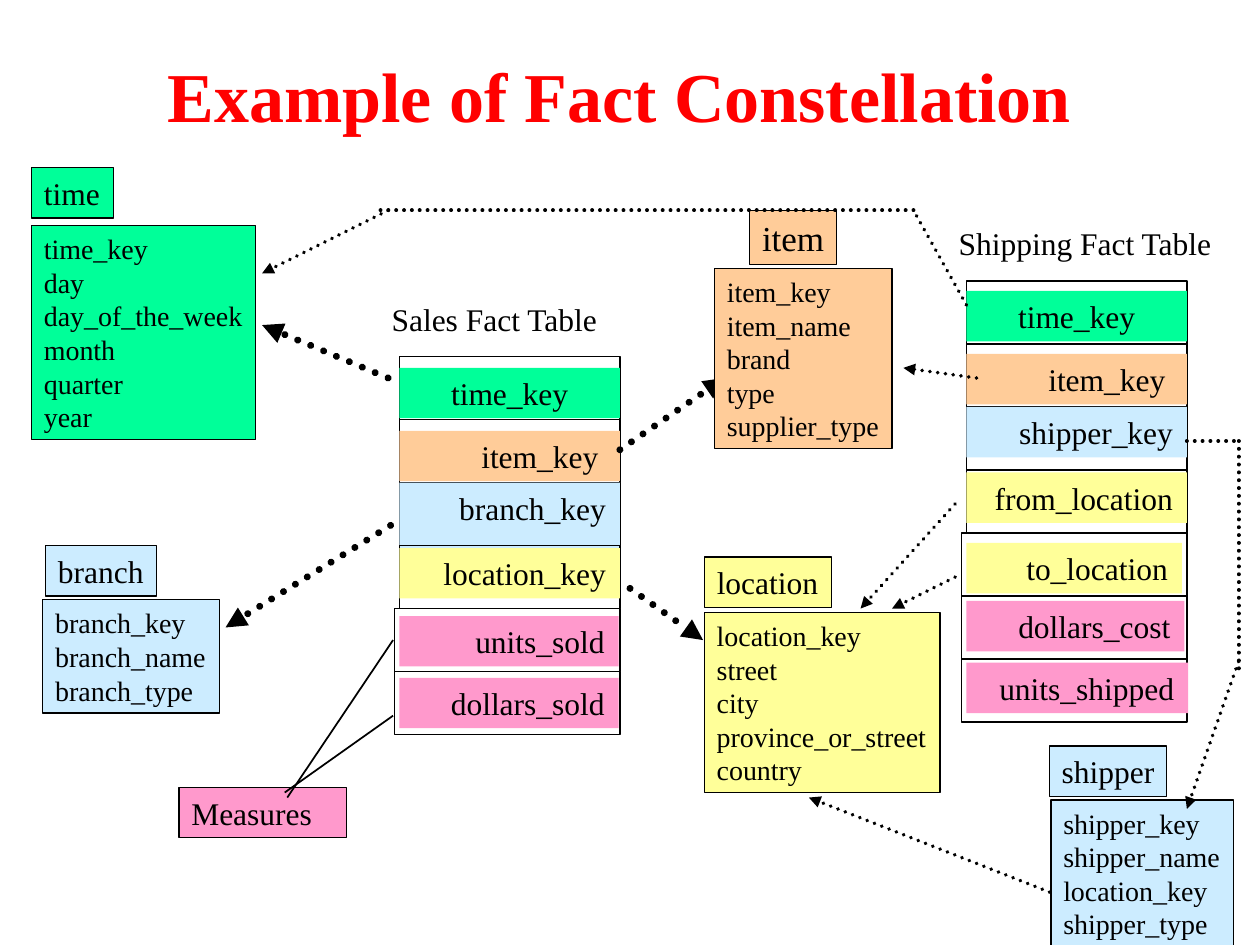
from dataclasses import dataclass

from lxml import etree
from pptx import Presentation
from pptx import util as u
from pptx.dml.color import RGBColor
from pptx.enum import dml, shapes, text
from pptx.oxml.ns import qn


@dataclass(frozen=True)
class Theme:
    font: str = "Times New Roman"
    ink: str = "000000"
    title: str = "FF0000"
    time: str = "00FF99"
    item: str = "FFCC99"
    place: str = "FFFF99"
    party: str = "CCECFF"
    measure: str = "FF99CC"
    title_size: int = 40
    item_size: int = 20
    label_size: int = 18
    column_size: int = 16
    border: float = 0.75
    thin: float = 1
    dotted: float = 2.25
    heavy: float = 4


THEME = Theme()
LEFT, CENTER, RIGHT = text.PP_ALIGN.LEFT, text.PP_ALIGN.CENTER, text.PP_ALIGN.RIGHT


class Diagram:
    def __init__(self, page, theme):
        self.page = page
        self.theme = theme

    def set_words(self, shape, words, size=None, align=LEFT, wrap=False,
                  color=None, bold=False, right_inset=0.1):
        frame = shape.text_frame
        frame.text = words
        frame.word_wrap = wrap
        frame.vertical_anchor = text.MSO_ANCHOR.TOP
        frame.margin_right = u.Inches(right_inset)
        for para in frame.paragraphs:
            para.alignment = align
            for span in para.runs:
                span.font.name = self.theme.font
                span.font.size = u.Pt(size or self.theme.label_size)
                span.font.bold = bold
                span.font.color.rgb = RGBColor.from_string(color or self.theme.ink)

    def caption(self, words, left, top, width, height=0.4, **style):
        box = self.page.shapes.add_textbox(*map(u.Inches, (left, top, width, height)))
        self.set_words(box, words, **style)
        return box

    def rect(self, left, top, width, height, fill=None, line=None):
        box = self.page.shapes.add_shape(
            shapes.MSO_SHAPE.RECTANGLE, *map(u.Inches, (left, top, width, height)))
        box.shadow.inherit = False
        if fill:
            box.fill.solid()
            box.fill.fore_color.rgb = RGBColor.from_string(fill)
        else:
            box.fill.background()
        if line:
            box.line.color.rgb = RGBColor.from_string(self.theme.ink)
            box.line.width = u.Pt(line)
        else:
            box.line.fill.background()
        return box

    def label(self, words, place, fill, **style):
        box = self.rect(*place, fill, self.theme.border)
        self.set_words(box, words, **style)

    def dimension(self, name, columns, fill, name_place, columns_place, **style):
        self.label("\n".join(columns), columns_place, fill, size=self.theme.column_size)
        self.label(name, name_place, fill, **style)

    def fact_table(self, left, top, rows, key_count):
        """Stack framed rows; rows after the keys get a slightly wider frame."""
        for index, (name, fill, drop, height, width) in enumerate(rows):
            row_top = top + index * 0.5
            widen = 0 if index < key_count else 0.04
            self.rect(left - widen, row_top, 1.75 + widen, 0.5, line=self.theme.thin)
            bar = self.rect(left, row_top + drop, width, height, fill)
            align = CENTER if name == "time_key" else RIGHT
            inset = {"time_key": 0.1, "item_key": 0.17}.get(name, 0.11)
            self.set_words(bar, name, align=align, wrap=True, right_inset=inset)

    def link(self, start, end, width, dotted=True, arrow=True):
        line = self.page.shapes.add_connector(
            shapes.MSO_CONNECTOR.STRAIGHT, *map(u.Inches, (*start, *end)))
        line.line.color.rgb = RGBColor.from_string(self.theme.ink)
        line.line.width = u.Pt(width)
        stroke = line.line._get_or_add_ln()
        if dotted:
            line.line.dash_style = dml.MSO_LINE.ROUND_DOT
            stroke.set("cap", "rnd")
        if arrow:
            etree.SubElement(stroke, qn("a:tailEnd"), type="triangle")
        etree.SubElement(line._element.spPr, qn("a:effectLst"))


def main():
    deck = Presentation()
    deck.slide_width, deck.slide_height = u.Inches(10), u.Inches(7.5)
    diagram = Diagram(deck.slides.add_slide(deck.slide_layouts[6]), THEME)
    t = THEME

    title = diagram.caption("Example of Fact Constellation", 1.08, 0.25, 7.67, 1,
                            size=t.title_size, align=CENTER, wrap=True,
                            color=t.title, bold=True)
    title.text_frame.vertical_anchor = text.MSO_ANCHOR.MIDDLE

    diagram.dimension(
        "time", ["time_key", "day", "day_of_the_week", "month", "quarter", "year"],
        t.time, (0.25, 1.33, 0.65, 0.4), (0.25, 1.79, 1.78, 1.7))
    diagram.dimension(
        "location", ["location_key", "street", "city", "province_or_street", "country"],
        t.place, (5.59, 4.42, 1.01, 0.4), (5.59, 4.86, 1.87, 1.43))
    diagram.dimension(
        "branch", ["branch_key", "branch_name", "branch_type"],
        t.party, (0.36, 4.33, 0.88, 0.4), (0.34, 4.76, 1.4, 0.9), align=CENTER)

    # Fact rows: name, fill, drop below the frame top, bar height, bar width
    diagram.caption("Sales Fact Table", 3.01, 2.33, 1.84)
    diagram.fact_table(3.17, 2.83, [
        ("time_key", t.time, 0.09, 0.4, 1.75),
        ("item_key", t.item, 0.09, 0.4, 1.75),
        ("branch_key", t.party, 0, 0.7, 1.75),
        ("location_key", t.place, 0.02, 0.4, 1.75),
        ("units_sold", t.measure, 0.06, 0.4, 1.74),
        ("dollars_sold", t.measure, 0.05, 0.4, 1.74),
    ], key_count=4)
    diagram.caption("Shipping Fact Table", 7.51, 1.73, 2.21)
    diagram.fact_table(7.67, 2.23, [
        ("time_key", t.time, 0.08, 0.4, 1.75),
        ("item_key", t.item, 0.08, 0.4, 1.75),
        ("shipper_key", t.party, 0, 0.4, 1.75),
        ("from_location", t.place, 0.02, 0.4, 1.75),
        ("to_location", t.place, 0.08, 0.4, 1.71),
        ("dollars_cost", t.measure, 0.04, 0.4, 1.73),
        ("units_shipped", t.measure, 0.03, 0.4, 1.76),
    ], key_count=4)

    diagram.label("Measures", (1.42, 6.25, 1.33, 0.4), t.measure, wrap=True)
    for start, end in [((2.28, 6.33), (3.12, 5.08)), ((2.26, 6.29), (3.12, 5.68))]:
        diagram.link(start, end, t.thin, dotted=False, arrow=False)

    sales_links = [
        ((3.1, 4.17), (1.79, 4.98)),
        ((3.08, 3), (2.08, 2.58)),
        ((5, 4.67), (5.58, 5.08)),
        ((4.92, 3.57), (5.75, 3)),
    ]
    for start, end in sales_links:
        diagram.link(start, end, t.heavy)

    diagram.dimension(
        "item", ["item_key", "item_name", "brand", "type", "supplier_type"],
        t.item, (5.95, 1.67, 0.69, 0.43), (5.67, 2.13, 1.41, 1.43),
        size=t.item_size, align=CENTER)
    diagram.dimension(
        "shipper", ["shipper_key", "shipper_name", "location_key", "shipper_type"],
        t.party, (8.33, 5.92, 0.93, 0.4), (8.34, 6.35, 1.45, 1.17), align=CENTER)

    shipping_links = [
        ((7.67, 2.42), (7.25, 1.67), False),
        ((7.25, 1.67), (3, 1.67), False),
        ((3.08, 1.67), (2.08, 2.17), True),
        ((7.75, 3), (7.17, 2.92), True),
        ((7.58, 4), (6.83, 4.83), True),
        ((7.58, 4.58), (7.08, 4.83), True),
        ((9.42, 3.5), (9.83, 3.5), False),
        ((9.83, 3.5), (9.83, 5.33), False),
        ((9.83, 5.25), (9.42, 6.42), True),
        ((8.33, 7.08), (6.42, 6.33), True),
    ]
    for start, end, arrow in shipping_links:
        diagram.link(start, end, t.dotted, arrow=arrow)

    deck.save("out.pptx")


if __name__ == "__main__":
    main()
